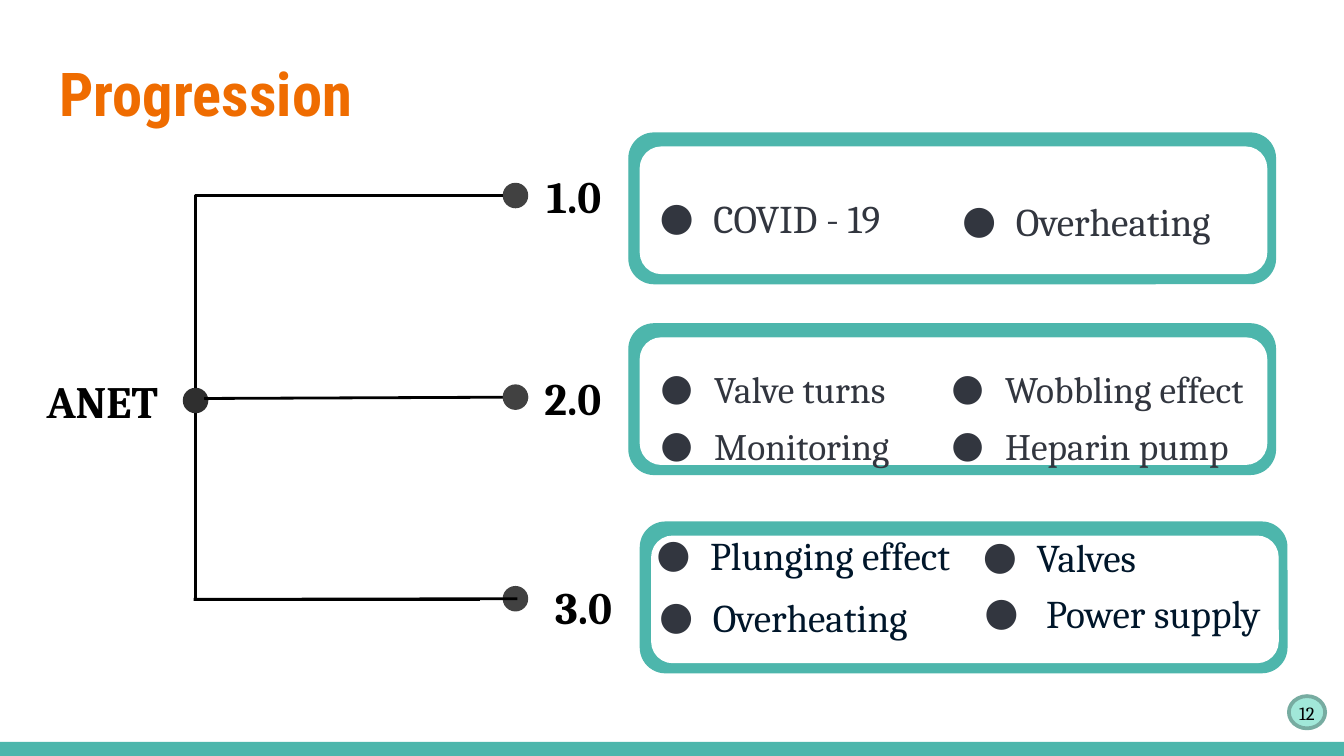
from typing import NamedTuple

import pptx
import pptx.dml.color
import pptx.enum.shapes
import pptx.enum.text
import pptx.oxml
import pptx.oxml.ns
import pptx.util

RGBColor = pptx.dml.color.RGBColor
MSO_SHAPE = pptx.enum.shapes.MSO_SHAPE
MSO_CONNECTOR = pptx.enum.shapes.MSO_CONNECTOR
PP_ALIGN = pptx.enum.text.PP_ALIGN
MSO_ANCHOR = pptx.enum.text.MSO_ANCHOR
MSO_AUTO_SIZE = pptx.enum.text.MSO_AUTO_SIZE
qn = pptx.oxml.ns.qn

EMU_PER_PX = 4572  # 200 px to the inch
FONT = "Cambria"

TEAL = RGBColor(0x4D, 0xB6, 0xAC)
WHITE = RGBColor(0xFF, 0xFF, 0xFF)
BLACK = RGBColor(0, 0, 0)
ORANGE = RGBColor(0xEF, 0x6C, 0x00)
SLATE = RGBColor(0x32, 0x36, 0x3F)
NAVY = RGBColor(0x00, 0x16, 0x2A)
ROOT_GRAY = RGBColor(0x2F, 0x2F, 0x2F)
DOT_GRAY = RGBColor(0x41, 0x41, 0x41)
MINT = RGBColor(0xA1, 0xE8, 0xD9)
BADGE_EDGE = RGBColor(0x77, 0xAC, 0xA1)


class Box(NamedTuple):
    left: int
    top: int
    width: int
    height: int


class Point(NamedTuple):
    x: int
    y: int


class Item(NamedTuple):
    text: str
    left: int
    top: int
    size: int
    color: RGBColor
    hanging: int = 80


class Version(NamedTuple):
    label: str
    label_at: Point
    dot_top: int
    panel_at: Point
    items: list[Item]


VERSIONS = [
    Version("1.0", Point(660, 256), 272, Point(936, 198), [
        Item("COVID - 19", 942, 234, 21, SLATE),
        Item("Overheating", 1392, 239, 21, SLATE),
    ]),
    Version("2.0", Point(660, 557), 572, Point(936, 482), [
        Item("Valve turns", 943, 492, 20, SLATE),
        Item("Wobbling effect", 1376, 492, 20, SLATE),
        Item("Monitoring", 943, 576, 20, SLATE),
        Item("Heparin pump", 1376, 576, 20, SLATE),
    ]),
    Version("3.0", Point(676, 868), 872, Point(953, 777), [
        Item("Plunging effect", 937, 736, 21, NAVY),
        Item("Valves", 1423, 739, 21, NAVY),
        Item("Overheating", 941, 828, 21, NAVY),
        Item("Power supply", 1425, 822, 21, NAVY, hanging=92),
    ]),
]


def px(length: float) -> int:
    return pptx.util.Emu(round(length * EMU_PER_PX))


def add_filled(slide, kind, box: Box, fill=None, edge=None, edge_pt=0.75):
    shape = slide.shapes.add_shape(kind, *map(px, box))
    shape.shadow.inherit = False
    if fill is None:
        shape.fill.background()
    else:
        shape.fill.solid()
        shape.fill.fore_color.rgb = fill
    if edge is None:
        shape.line.fill.background()
    else:
        shape.line.color.rgb = edge
        shape.line.width = pptx.util.Pt(edge_pt)
    return shape


def add_textbox(slide, box: Box):
    return slide.shapes.add_textbox(*map(px, box))


def write(shape, text: str, size: float, color: RGBColor, font=FONT, bold=False,
          align=PP_ALIGN.LEFT, anchor=MSO_ANCHOR.TOP, hanging=0) -> None:
    frame = shape.text_frame
    frame_format = {
        "word_wrap": True, "vertical_anchor": anchor,
        "margin_left": px(20), "margin_right": px(20),
        "margin_top": px(20), "margin_bottom": px(20),
    }
    for name, value in frame_format.items():
        setattr(frame, name, value)
    paragraph = frame.paragraphs[0]
    paragraph.alignment = align
    if hanging:
        frame.auto_size = MSO_AUTO_SIZE.SHAPE_TO_FIT_TEXT
        paragraph.line_spacing = 1.5
        add_bullet(paragraph, hanging)
    run = paragraph.add_run()
    run.text = text
    font_format = {"name": font, "size": pptx.util.Pt(size), "bold": bold}
    for name, value in font_format.items():
        setattr(run.font, name, value)
    run.font.color.rgb = color


def add_bullet(paragraph, hanging: int) -> None:
    """Hang the text to the right of a round bullet placed 20 px in."""
    properties = paragraph._p.get_or_add_pPr()
    properties.set("marL", str(px(20 + hanging)))
    properties.set("indent", str(-px(hanging)))
    color = properties.makeelement(qn("a:buClr"), {})
    color.append(color.makeelement(qn("a:srgbClr"), {"val": str(SLATE)}))
    properties.append(color)
    properties.append(properties.makeelement(qn("a:buFont"), {"typeface": FONT}))
    properties.append(properties.makeelement(qn("a:buChar"), {"char": "●"}))


def add_line(slide, kind, start: Point, end: Point):
    line = slide.shapes.add_connector(kind, *map(px, (*start, *end)))
    line.line.color.rgb = BLACK
    line.line.width = pptx.util.Pt(1.5)
    properties = line._element.spPr
    properties.append(properties.makeelement(qn("a:effectLst"), {}))
    return line


def add_elbow(slide, start: Point, end: Point) -> None:
    """Go vertically from start, then right to end, with one corner."""
    run, rise = end.x - start.x, end.y - start.y
    middle_x, middle_y = (start.x + end.x) / 2, (start.y + end.y) / 2
    # The one-corner preset starts sideways, so it is turned by 270 degrees.
    elbow = add_line(slide, MSO_CONNECTOR.ELBOW,
                     Point(middle_x + rise / 2, middle_y - run / 2),
                     Point(middle_x - rise / 2, middle_y + run / 2))
    properties = elbow._element.spPr
    properties.find(qn("a:xfrm")).set("rot", str(270 * 60000))
    properties.find(qn("a:prstGeom")).set("prst", "bentConnector2")


def add_label(slide, text: str, at: Point) -> None:
    label = add_filled(slide, MSO_SHAPE.ROUNDED_RECTANGLE, Box(*at, 258, 70))
    write(label, text, 24, BLACK, bold=True,
          align=PP_ALIGN.RIGHT, anchor=MSO_ANCHOR.MIDDLE)


def add_dot(slide, left: int, top: int, color: RGBColor) -> None:
    add_filled(slide, MSO_SHAPE.OVAL, Box(left, top, 38, 38), color)


def add_panel(slide, at: Point) -> None:
    rounded = MSO_SHAPE.ROUNDED_RECTANGLE
    add_filled(slide, rounded, Box(*at, 962, 224), TEAL, TEAL)
    add_filled(slide, rounded, Box(at.x + 17, at.y + 21, 932, 188), WHITE, WHITE)


def main() -> None:
    deck = pptx.Presentation()
    deck.slide_width, deck.slide_height = px(2000), px(1125)
    slide = deck.slides.add_slide(deck.slide_layouts[6])

    # Footer bar and title
    add_filled(slide, MSO_SHAPE.RECTANGLE, Box(0, 1104, 2000, 21), TEAL)
    write(add_textbox(slide, Box(69, 64, 1864, 154)), "Progression", 32.4, ORANGE,
          font="Roboto Condensed", bold=True)

    # Root of the tree, with the middle branch ending behind its dot
    add_label(slide, "ANET", Point(0, 561))
    add_dot(slide, 272, 577, ROOT_GRAY)
    add_line(slide, MSO_CONNECTOR.STRAIGHT, Point(304, 593), Point(786, 591))

    # Versions with their panels
    for version in VERSIONS:
        add_dot(slide, 748, version.dot_top, DOT_GRAY)
        add_label(slide, version.label, version.label_at)
        add_panel(slide, version.panel_at)
        for item in version.items:
            box = Box(item.left, item.top, 656, 112)
            write(add_textbox(slide, box), item.text, item.size, item.color,
                  hanging=item.hanging)

    # Outer branches
    add_elbow(slide, Point(291, 577), Point(748, 291))
    add_elbow(slide, Point(291, 615), Point(714, 892))
    add_line(slide, MSO_CONNECTOR.STRAIGHT, Point(288, 892), Point(770, 891))

    # Page number
    add_filled(slide, MSO_SHAPE.OVAL, Box(1918, 1036, 54, 48), MINT, BADGE_EDGE, 2)
    write(add_textbox(slide, Box(1856, 1018, 120, 86)), "12", 10, BLACK,
          align=PP_ALIGN.RIGHT, anchor=MSO_ANCHOR.MIDDLE)

    deck.save("out.pptx")


if __name__ == "__main__":
    main()
